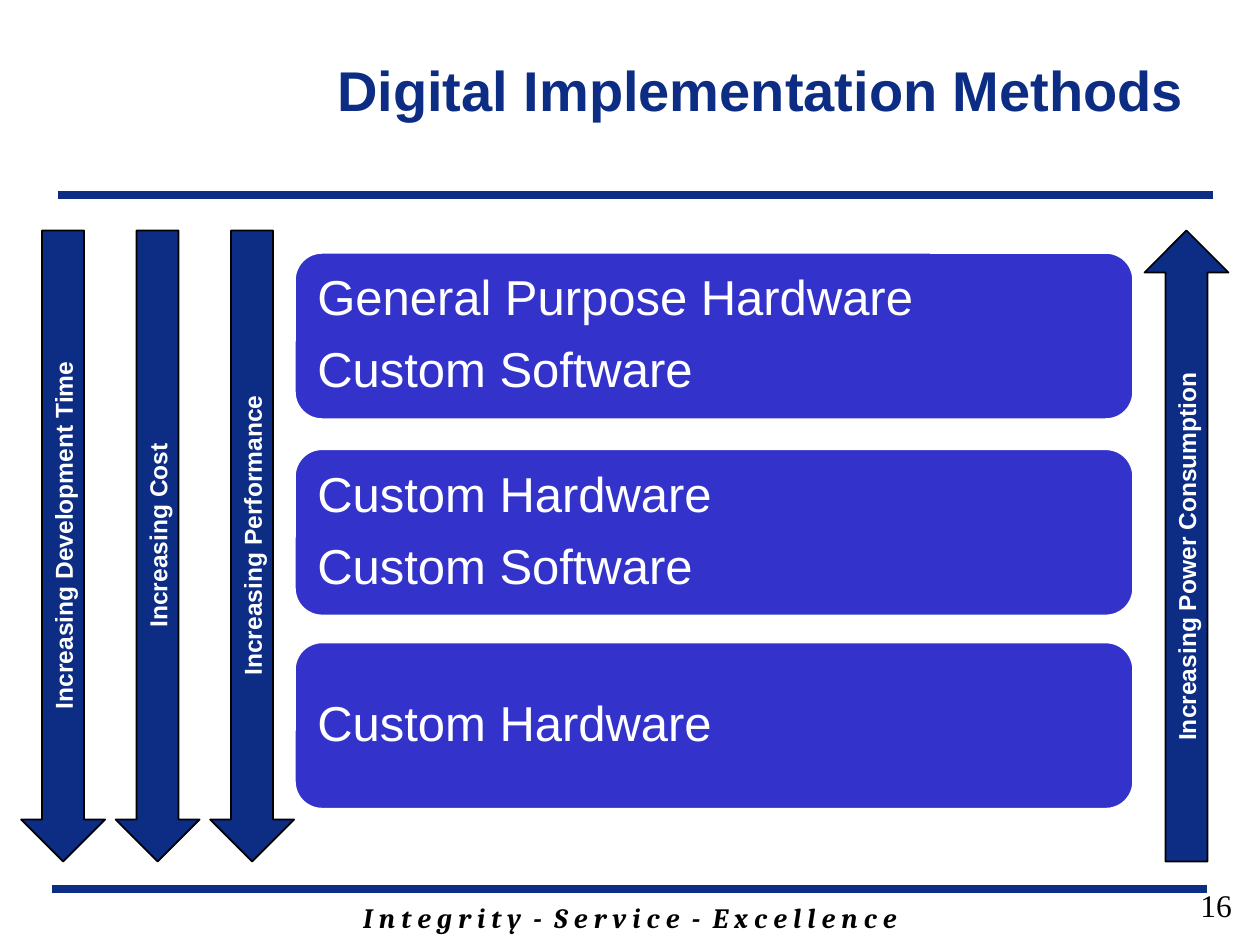
from dataclasses import dataclass

from lxml import etree
from pptx import Presentation
from pptx import util as u
from pptx.dml.color import RGBColor
from pptx.enum import shapes, text
from pptx.oxml.ns import qn


@dataclass(frozen=True)
class Theme:
    navy: str = "0C2D83"
    panel: str = "3333CC"
    white: str = "FFFFFF"
    black: str = "000000"
    title: int = 32
    body: int = 28
    number: int = 18
    footer: int = 16
    label: int = 14


@dataclass(frozen=True)
class Style:
    size: int
    color: str
    font: str = "Arial"
    bold: bool = False
    italic: bool = False
    align: text.PP_ALIGN = text.PP_ALIGN.CENTER
    anchor: text.MSO_ANCHOR = text.MSO_ANCHOR.TOP


@dataclass(frozen=True)
class Box:
    col: float
    row: float
    cols: float
    rows: float

    def emu(self) -> list[int]:
        return [grid(n) for n in (self.col, self.row, self.cols, self.rows)]


@dataclass(frozen=True)
class Trend:
    label: str
    col: float
    down: bool = True


THEME = Theme()
WIDTH, HEIGHT = u.Inches(10), u.Inches(7.5)
COLUMNS = 120

PANELS = [
    (24, "General Purpose Hardware\nCustom Software"),
    (42.7, "Custom Hardware\nCustom Software"),
    (61.1, "Custom Hardware"),
]
TRENDS = [
    Trend("Increasing Cost", 15),
    Trend("Increasing Development Time", 6),
    Trend("Increasing Performance", 24),
    Trend("Increasing Power Consumption", 113, down=False),
]


def grid(n: float) -> int:
    return round(n * WIDTH / COLUMNS)


def rgb(color: str) -> RGBColor:
    return RGBColor.from_string(color)


def write(sp, words: str, style: Style):
    tf = sp.text_frame
    tf.word_wrap = True
    tf.vertical_anchor = style.anchor
    tf.text = words
    for p in tf.paragraphs:
        p.alignment = style.align
        for r in p.runs:
            r.font.name = style.font
            r.font.size = u.Pt(style.size)
            r.font.bold = style.bold
            r.font.italic = style.italic
            r.font.color.rgb = rgb(style.color)
    return tf


def add_text(s, box: Box, words: str, style: Style) -> None:
    write(s.shapes.add_textbox(*box.emu()), words, style)


def add_rule(s, col: float, row: float, cols: float) -> None:
    ends = [grid(n) for n in (col, row, col + cols, row)]
    line = s.shapes.add_connector(shapes.MSO_CONNECTOR.STRAIGHT, *ends)
    line.line.color.rgb = rgb(THEME.navy)
    line.line.width = u.Pt(4.5)
    etree.SubElement(line._element.spPr, qn("a:effectLst"))


def add_block(s, kind, box: Box, fill: str, outline: str, weight: float):
    sp = s.shapes.add_shape(kind, *box.emu())
    sp.shadow.inherit = False
    sp.fill.solid()
    sp.fill.fore_color.rgb = rgb(fill)
    sp.line.color.rgb = rgb(outline)
    sp.line.width = u.Pt(weight)
    return sp


def add_panel(s, row: float, words: str) -> None:
    sp = add_block(s, shapes.MSO_SHAPE.ROUNDED_RECTANGLE,
                   Box(28, row, 80, 16), THEME.panel, THEME.white, 2)
    style = Style(THEME.body, THEME.white, align=text.PP_ALIGN.LEFT,
                  anchor=text.MSO_ANCHOR.MIDDLE)
    tf = write(sp, words, style)
    tf.margin_left = tf.margin_right = u.Inches(0.12)
    for p in tf.paragraphs:
        p.line_spacing = 0.9
        p.space_after = u.Pt(11)


def add_trend(s, trend: Trend) -> None:
    length, breadth, middle = 60.1, 8, 52
    box = Box(trend.col - length / 2, middle - breadth / 2, length, breadth)
    sp = add_block(s, shapes.MSO_SHAPE.RIGHT_ARROW, box,
                   THEME.navy, THEME.black, 1)
    sp.rotation = 270
    if trend.down:
        sp._element.spPr.find(qn("a:xfrm")).set("flipH", "1")
    write(sp, trend.label, Style(THEME.label, THEME.white, bold=True))


def main() -> None:
    prs = Presentation()
    prs.slide_width, prs.slide_height = WIDTH, HEIGHT
    s = prs.slides.add_slide(prs.slide_layouts[6])

    add_rule(s, 5, 84.7, 110)
    add_rule(s, 5.5, 18.6, 110)
    add_text(s, Box(17, 85.2, 86, 4.4),
             "I n t e g r i t y  -  S e r v i c e  -  E x c e l l e n c e",
             Style(THEME.footer, THEME.black, "Cambria", True, True))
    add_text(s, Box(25, 1, 89, 15), "Digital Implementation Methods",
             Style(THEME.title, THEME.navy, bold=True,
                   align=text.PP_ALIGN.RIGHT,
                   anchor=text.MSO_ANCHOR.MIDDLE))
    add_text(s, Box(90.5, 83.8, 28, 6.2), "16",
             Style(THEME.number, THEME.black, "Times New Roman",
                   align=text.PP_ALIGN.RIGHT))
    for row, words in PANELS:
        add_panel(s, row, words)
    for trend in TRENDS:
        add_trend(s, trend)

    prs.save("out.pptx")


if __name__ == "__main__":
    main()
